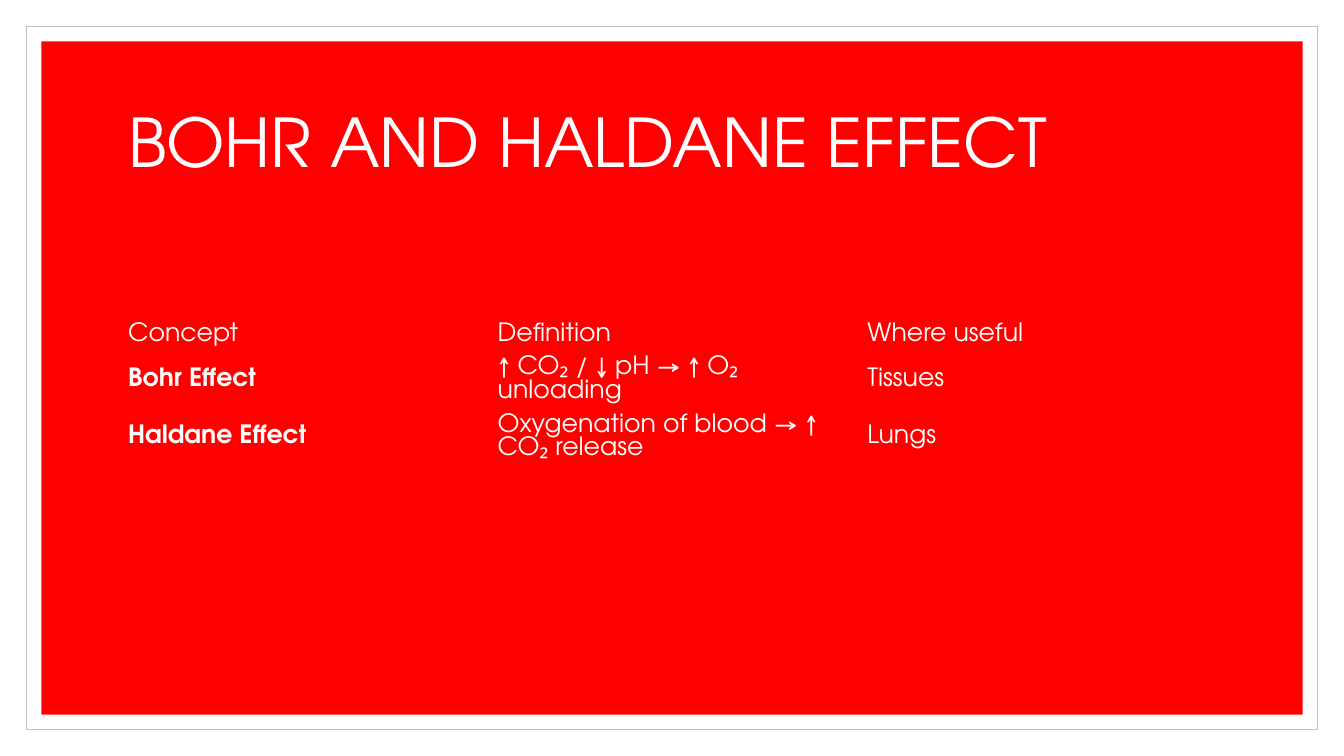
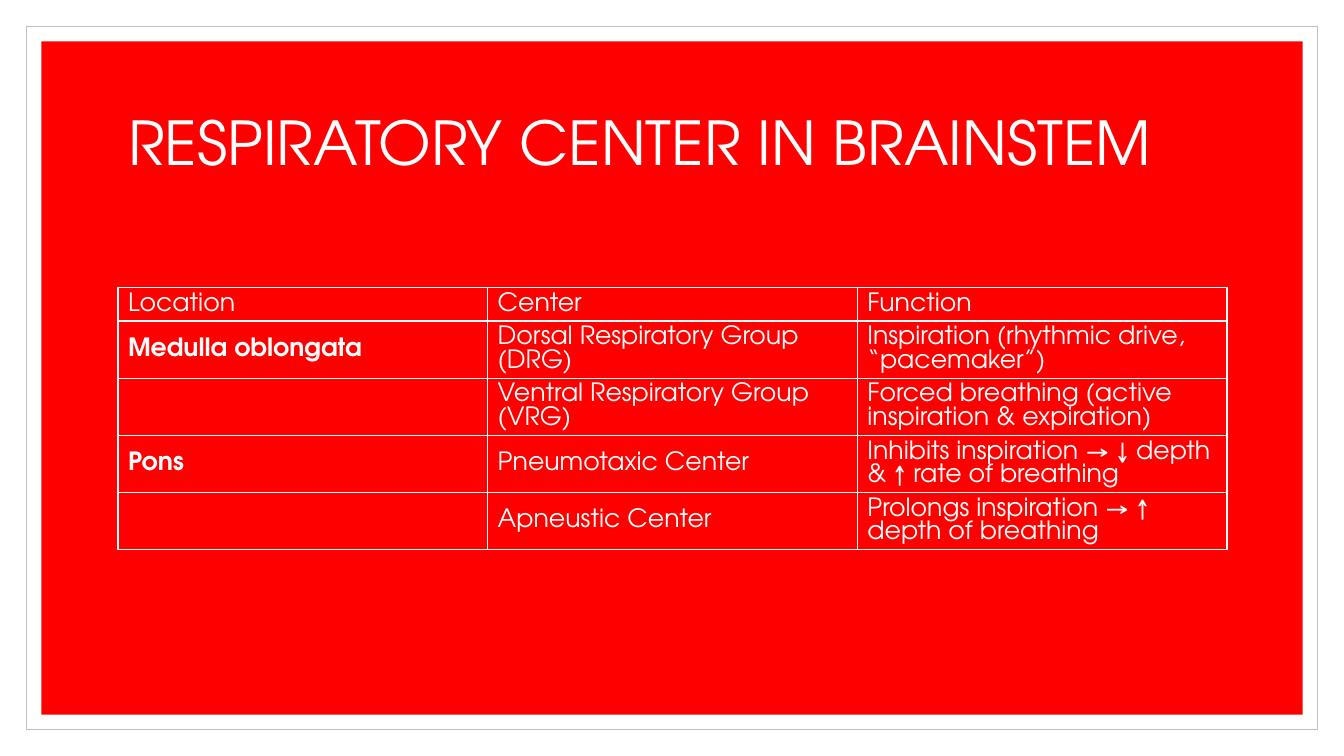
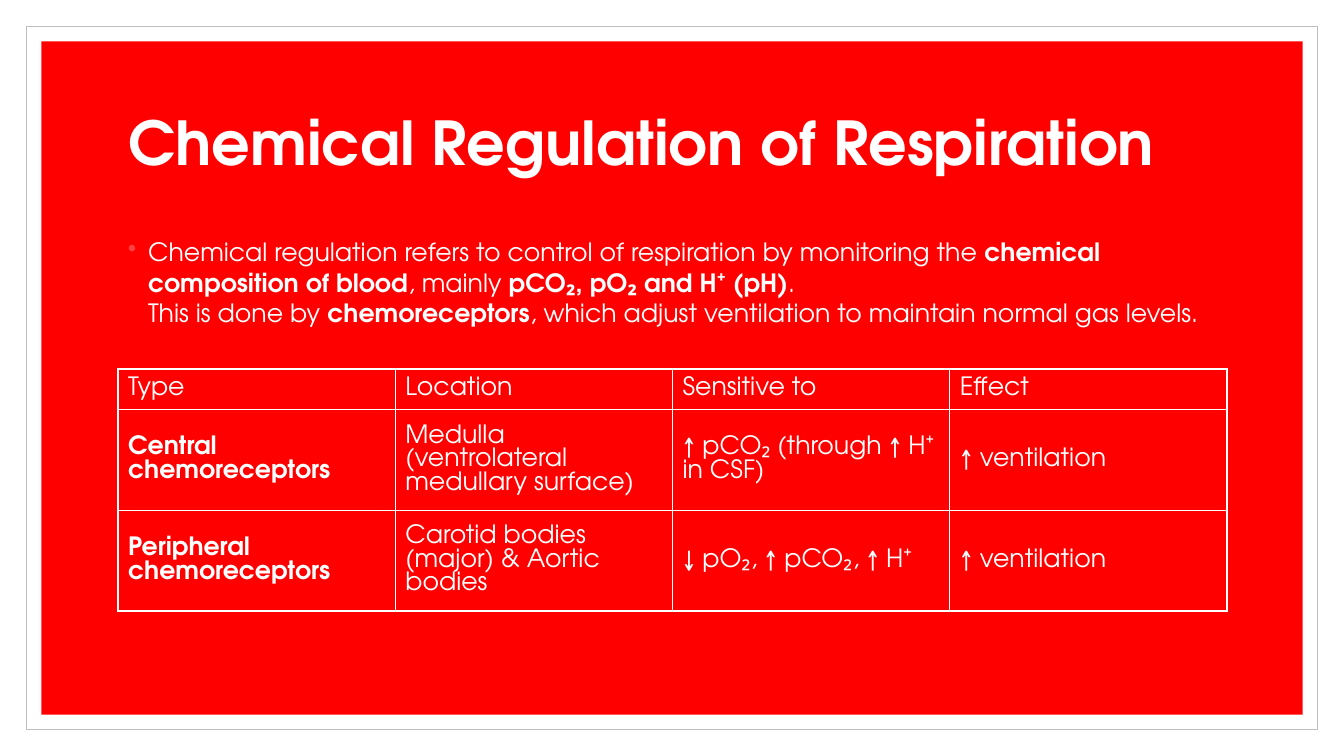
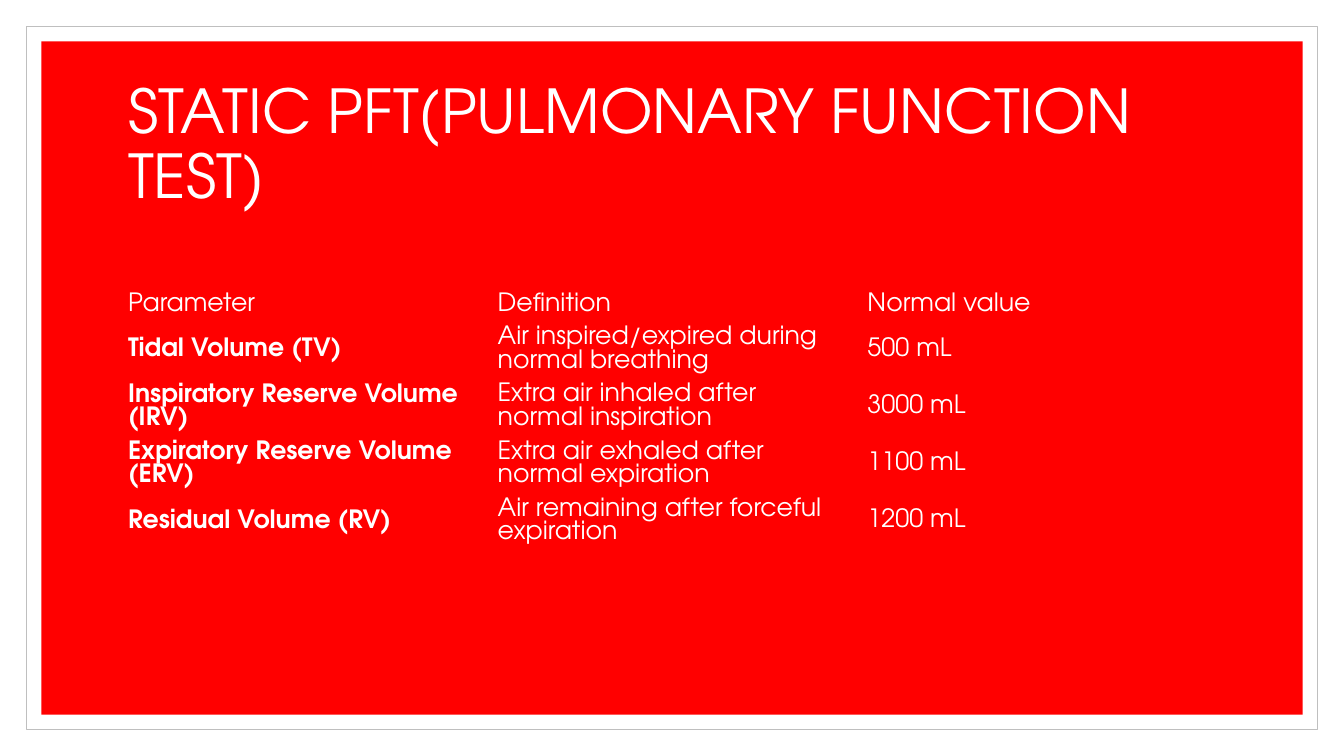
from dataclasses import dataclass
from pptx import Presentation
from pptx.dml.color import RGBColor
from pptx.enum import shapes, text
from pptx.oxml import parse_xml
from pptx.oxml.ns import nsdecls
from pptx.util import Inches, Pt


@dataclass(frozen=True)
class Theme:
    font: str = "TeX Gyre Adventor"
    white: str = "FFFFFF"
    red: str = "FF0000"
    gray: str = "BFBFBF"
    bullet: str = "FF4040"
    head: float = 43.2
    large: float = 48
    body: float = 18


THEME = Theme()
LEFT, WIDTH = 1.17, 11
PAD, LINE = 0.1, 0.23  # cell padding and least height of one text line


def color(code):
    return RGBColor.from_string(code)


def write(frame, words, size=THEME.body, bold=False, space=None):
    """Fill a text frame; parts between asterisks are bold."""
    para = frame.paragraphs[0]
    para.alignment = text.PP_ALIGN.LEFT
    para.line_spacing = space
    for i, part in enumerate(words.split("*")):
        for j, line in enumerate(part.split("\n")):
            if j:
                para.add_line_break()
            if line:
                run = para.add_run()
                run.text = line
                font = run.font
                font.name, font.size = THEME.font, Pt(size)
                font.bold = bold or i % 2 == 1
                font.color.rgb = color(THEME.white)
    return para


class Deck:
    def __init__(self):
        self.prs = Presentation()
        self.prs.slide_width, self.prs.slide_height = Inches(13.33), Inches(7.5)
        self.slide = None

    def page(self, title, size=THEME.head, bold=False):
        first = self.slide is None
        self.slide = self.prs.slides.add_slide(self.prs.slide_layouts[5])
        if first:
            self.panel(0.41, THEME.red)
            self.panel(0.26, THEME.white, THEME.gray)
        box = self.slide.shapes.title
        box.left, box.top = Inches(LEFT), Inches(0.7)
        box.width, box.height = Inches(WIDTH), Inches(1.5)
        frame = box.text_frame
        frame.word_wrap = True
        frame.auto_size = text.MSO_AUTO_SIZE.NONE
        frame.vertical_anchor = text.MSO_ANCHOR.MIDDLE
        write(frame, title, size=size, bold=bold, space=0.9)

    def panel(self, edge, fill, line=None):
        """Put a full-page panel at the back of the master."""
        box = self.slide.shapes.add_shape(
            shapes.MSO_SHAPE.RECTANGLE, Inches(edge), Inches(edge),
            Inches(13.33 - 2 * edge), Inches(7.5 - 2 * edge))
        box.shadow.inherit = False
        box.fill.solid()
        box.fill.fore_color.rgb = color(fill)
        if line:
            box.line.color.rgb = color(line)
            box.line.width = Pt(0.5)
        else:
            box.line.fill.background()
        tree = self.prs.slide_master.shapes.element
        box.element.nvSpPr.cNvPr.set("id", str(100 + len(tree)))
        tree.insert(2, box.element)

    def bullet(self, words, top, height):
        box = self.slide.shapes.add_textbox(
            Inches(LEFT), Inches(top), Inches(WIDTH), Inches(height))
        box.text_frame.word_wrap = True
        props = write(box.text_frame, words)._p.get_or_add_pPr()
        props.set("marL", str(Inches(0.2)))
        props.set("indent", str(Inches(-0.2)))
        for tag in (f'<a:buClr {nsdecls("a")}><a:srgbClr val="{THEME.bullet}"/></a:buClr>',
                    f'<a:buChar {nsdecls("a")} char="•"/>'):
            props.append(parse_xml(tag))

    def table(self, top, lines, rows, grid=False):
        """Draw rows of text; lines holds the text lines in each row."""
        highs = [PAD + LINE * n for n in lines]
        cols = len(rows[0])
        table = self.slide.shapes.add_table(
            len(rows), cols, Inches(LEFT), Inches(top),
            Inches(WIDTH), Inches(sum(highs))).table
        table.first_row = table.horz_banding = False
        for col in table.columns:
            col.width = Inches(WIDTH / cols)
        for r, row in enumerate(rows):
            table.rows[r].height = Inches(highs[r])
            for c, words in enumerate(row):
                cell = table.cell(r, c)
                cell.vertical_anchor = text.MSO_ANCHOR.MIDDLE
                self.edges(cell, grid)
                cell.fill.background()
                write(cell.text_frame, words, bold=r > 0 and c == 0)

    def edges(self, cell, grid):
        paint = (f'<a:solidFill><a:srgbClr val="{THEME.white}"/></a:solidFill>'
                 if grid else "<a:noFill/>")
        props = cell._tc.get_or_add_tcPr()
        for side in "LRTB":
            props.append(parse_xml(
                f'<a:ln{side} {nsdecls("a")} w="{Pt(1)}">{paint}</a:ln{side}>'))


def main():
    deck = Deck()

    # Gas transport effects
    deck.page("BOHR AND HALDANE EFFECT", size=THEME.large)
    deck.table(3.15, (1, 2, 2), [
        ("Concept", "Definition", "Where useful"),
        ("Bohr Effect", "↑ CO₂ / ↓ pH → ↑ O₂ unloading", "Tissues"),
        ("Haldane Effect", "Oxygenation of blood → ↑ CO₂ release", "Lungs"),
    ])

    # Brainstem centers
    deck.page("RESPIRATORY CENTER IN BRAINSTEM")
    deck.table(2.85, (1, 2, 2, 2, 2), [
        ("Location", "Center", "Function"),
        ("Medulla oblongata", "Dorsal Respiratory Group (DRG)",
         "Inspiration (rhythmic drive, “pacemaker”)"),
        ("", "Ventral Respiratory Group (VRG)",
         "Forced breathing (active inspiration & expiration)"),
        ("Pons", "Pneumotaxic Center",
         "Inhibits inspiration → ↓ depth & ↑ rate of breathing"),
        ("", "Apneustic Center", "Prolongs inspiration → ↑ depth of breathing"),
    ], grid=True)

    # Chemical control
    deck.page("Chemical Regulation of Respiration", bold=True)
    deck.bullet(
        "Chemical regulation refers to control of respiration by monitoring the "
        "*chemical composition of blood*, mainly *pCO₂, pO₂ and H⁺ (pH)*.\n"
        "This is done by *chemoreceptors*, which adjust ventilation to maintain "
        "normal gas levels.", 2.3, 1.2)
    deck.table(3.66, (1, 3, 3), [
        ("Type", "Location", "Sensitive to", "Effect"),
        ("Central chemoreceptors", "Medulla (ventrolateral medullary surface)",
         "↑ pCO₂ (through ↑ H⁺ in CSF)", "↑ ventilation"),
        ("Peripheral chemoreceptors", "Carotid bodies (major) & Aortic bodies",
         "↓ pO₂, ↑ pCO₂, ↑ H⁺", "↑ ventilation"),
    ], grid=True)

    # Lung volumes
    deck.page("STATIC PFT(PULMONARY FUNCTION TEST)")
    deck.table(2.85, (1, 2, 2, 2, 2), [
        ("Parameter", "Definition", "Normal value"),
        ("Tidal Volume (TV)", "Air inspired/expired during normal breathing",
         "500 mL"),
        ("Inspiratory Reserve Volume (IRV)",
         "Extra air inhaled after normal inspiration", "3000 mL"),
        ("Expiratory Reserve Volume (ERV)",
         "Extra air exhaled after normal expiration", "1100 mL"),
        ("Residual Volume (RV)", "Air remaining after forceful expiration",
         "1200 mL"),
    ])

    deck.prs.save("out.pptx")


if __name__ == "__main__":
    main()
